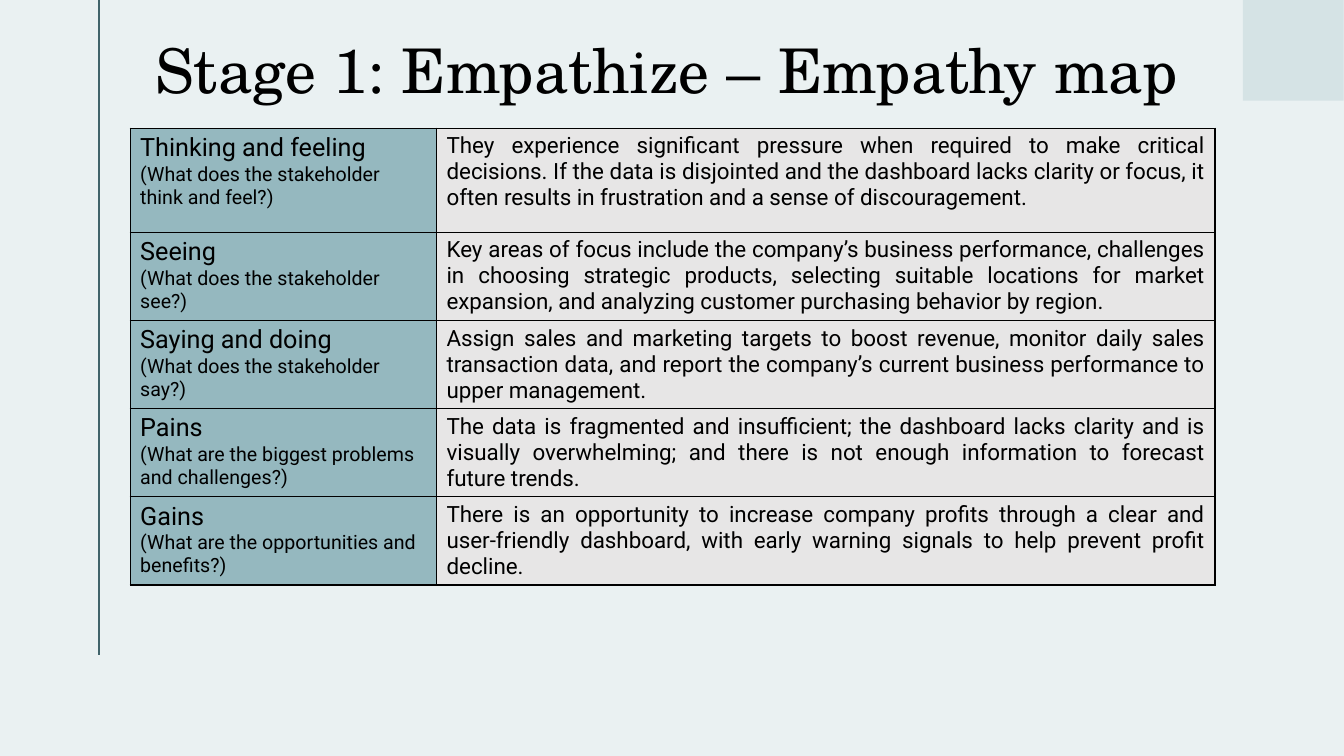
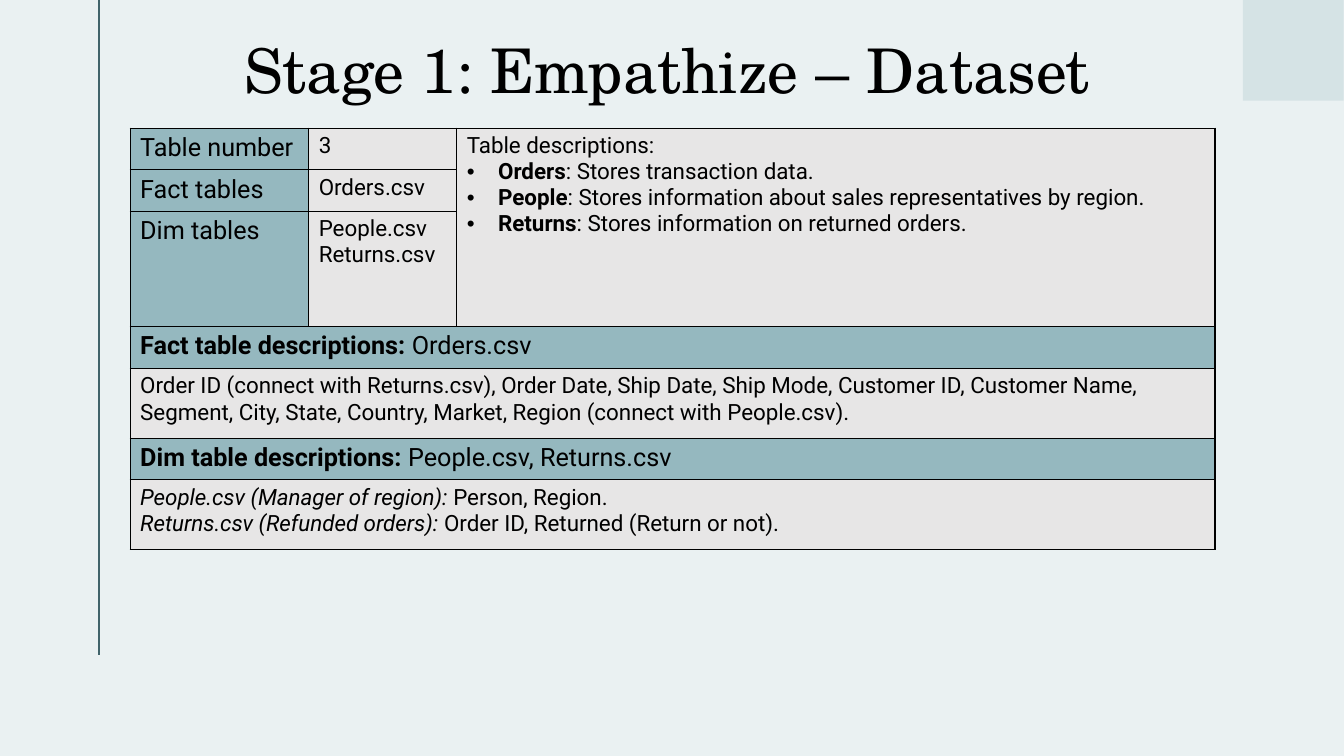
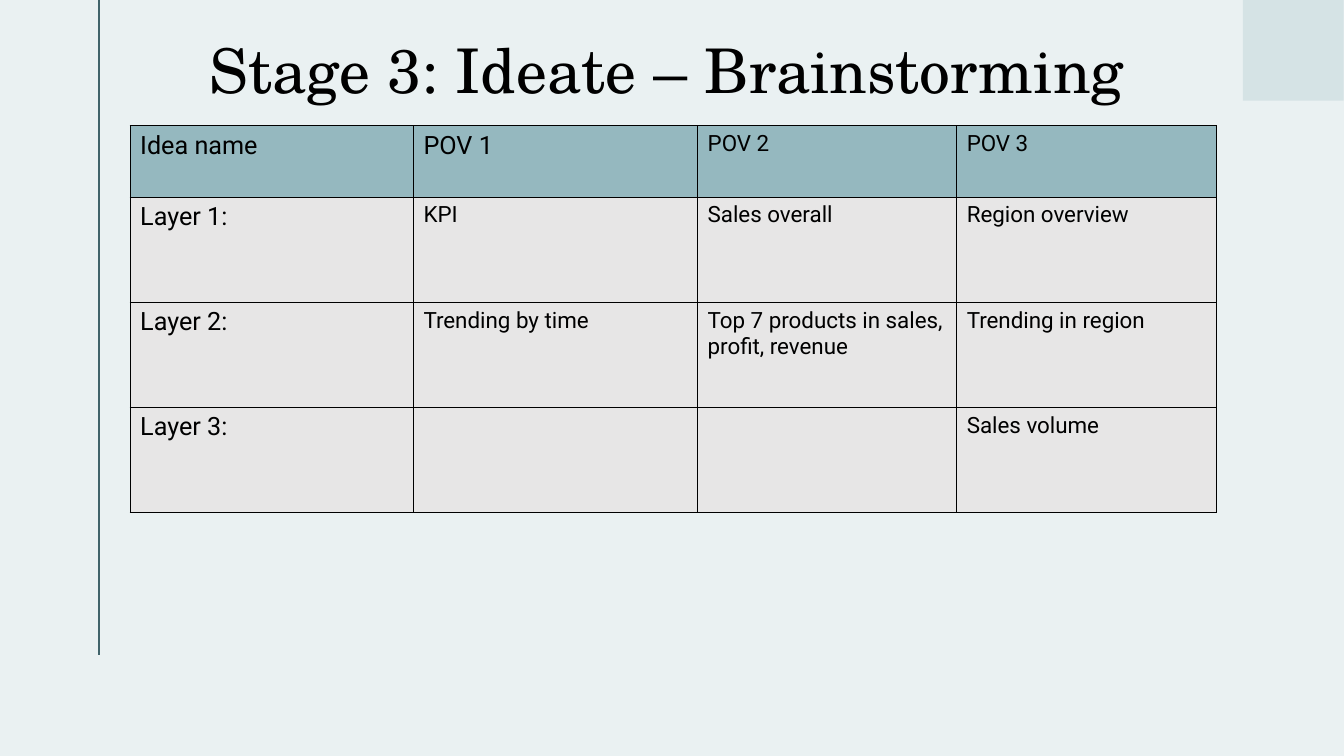
import dataclasses

import lxml.etree
import pptx
import pptx.dml.color
import pptx.enum.shapes
import pptx.enum.text
import pptx.oxml.ns
import pptx.util

Cm, Pt = pptx.util.Cm, pptx.util.Pt
Align = pptx.enum.text.PP_ALIGN
qn = pptx.oxml.ns.qn

PAGE, RULE, CORNER = "EAF1F2", "40636A", "D5E3E5"
HEADING, PLAIN, INK = "95B8BF", "E7E6E6", "000000"
TITLE_FONT, TABLE_FONT = "TeX Gyre Schola", "Roboto"
TITLE_ONLY = 5
TABLE_LEFT = 3.28
BULLET_INDENT = 0.79


@dataclasses.dataclass
class Paragraph:
    """A line of cell text, with an optional emphasised start."""
    text: str
    size: int = 16
    bold_start: str = ""
    italic_start: str = ""
    justified: bool = False
    bulleted: bool = False


@dataclasses.dataclass
class Cell:
    paragraphs: list
    fill: str = PLAIN
    rows: int = 1
    columns: int = 1


def color(hex_code):
    return pptx.dml.color.RGBColor.from_string(hex_code)


def add_child(parent, tag, **attributes):
    return lxml.etree.SubElement(parent, qn(tag), attributes)


def style_layout_title(title):
    title.left, title.top = Cm(3.91), Cm(0.48)
    title.width, title.height = Cm(26.06), Cm(2.74)
    frame = title.text_frame
    frame.auto_size = pptx.enum.text.MSO_AUTO_SIZE.NONE
    frame.vertical_anchor = pptx.enum.text.MSO_ANCHOR.MIDDLE
    frame.margin_left = 0
    frame.margin_right = Cm(0.25)
    frame.margin_top = frame.margin_bottom = Cm(0.13)
    list_style = title.element.find(".//" + qn("a:lstStyle"))
    level = add_child(list_style, "a:lvl1pPr", algn="ctr")
    add_child(add_child(level, "a:lnSpc"), "a:spcPct", val="90000")
    run_style = add_child(level, "a:defRPr", sz="4400")
    add_child(add_child(run_style, "a:solidFill"), "a:srgbClr", val=INK)
    add_child(run_style, "a:latin", typeface=TITLE_FONT)


def move_to_layout(shape, layout):
    layout.shapes.element.append(shape.element)


def decorate_layout(layout, slide):
    """Give the layout its background, title style, rule and corner.

    Layouts cannot create shapes, so these start on the given slide.
    """
    layout.background.fill.solid()
    layout.background.fill.fore_color.rgb = color(PAGE)
    style_layout_title(layout.placeholders[0])

    rule = slide.shapes.add_connector(
        pptx.enum.shapes.MSO_CONNECTOR.STRAIGHT,
        Cm(2.49), Cm(0), Cm(2.49), Cm(16.51))
    rule.line.color.rgb = color(RULE)
    rule.line.width = Pt(1.5)
    add_child(rule.element.spPr, "a:effectLst")
    move_to_layout(rule, layout)

    corner = slide.shapes.add_shape(
        pptx.enum.shapes.MSO_SHAPE.RECTANGLE,
        Cm(31.32), Cm(0), Cm(2.54), Cm(2.54))
    corner.shadow.inherit = False
    corner.fill.solid()
    corner.fill.fore_color.rgb = color(CORNER)
    corner.line.fill.background()
    move_to_layout(corner, layout)


def draw_borders(cell):
    properties = cell._tc.get_or_add_tcPr()
    for position, side in enumerate(("lnL", "lnR", "lnT", "lnB")):
        border = lxml.etree.Element(qn("a:" + side), w=str(Pt(1)))
        add_child(add_child(border, "a:solidFill"), "a:srgbClr", val=INK)
        properties.insert(position, border)


def add_bullet(paragraph):
    properties = paragraph._p.get_or_add_pPr()
    properties.set("marL", str(Cm(BULLET_INDENT)))
    properties.set("indent", str(-Cm(BULLET_INDENT)))
    add_child(properties, "a:buFont", typeface="Arial")
    add_child(properties, "a:buChar", char="•")


def write_paragraph(paragraph, content):
    start = content.bold_start or content.italic_start
    paragraph.text = start or content.text
    if start:
        paragraph.runs[0].font.bold = bool(content.bold_start)
        paragraph.runs[0].font.italic = bool(content.italic_start)
        paragraph.add_run().text = content.text
    paragraph.alignment = Align.JUSTIFY if content.justified else Align.LEFT
    for run in paragraph.runs:
        run.font.size = Pt(content.size)
        run.font.name = TABLE_FONT
        run.font.color.rgb = color(INK)
    if content.bulleted:
        add_bullet(paragraph)


def write_cell(cell, content):
    cell.fill.solid()
    cell.fill.fore_color.rgb = color(content.fill)
    frame = cell.text_frame
    for index, line in enumerate(content.paragraphs):
        paragraph = frame.add_paragraph() if index else frame.paragraphs[0]
        write_paragraph(paragraph, line)


def add_grid(slide, top, widths, heights, rows):
    """Add a bordered table; None marks a place covered by a merged cell."""
    grid = slide.shapes.add_table(
        len(heights), len(widths), Cm(TABLE_LEFT), Cm(top),
        Cm(sum(widths)), Cm(sum(heights))).table
    grid.first_row = grid.horz_banding = False
    for column, width in zip(grid.columns, widths):
        column.width = Cm(width)
    for row, height in zip(grid.rows, heights):
        row.height = Cm(height)
    for r, contents in enumerate(rows):
        for c, content in enumerate(contents):
            cell = grid.cell(r, c)
            if content:
                write_cell(cell, content)
                if content.rows > 1 or content.columns > 1:
                    cell.merge(grid.cell(r + content.rows - 1,
                                         c + content.columns - 1))
            draw_borders(cell)


def heading(text, **options):
    return Cell([Paragraph(text, 18, **options)], HEADING)


def plain(*lines, justified=False):
    return Cell([Paragraph(line, justified=justified) for line in lines])


def full_width(cell):
    cell.columns = 3
    return [cell, None, None]


def build_empathy_map(slide):
    slide.shapes.title.text_frame.text = "Stage 1: Empathize – Empathy map"
    aspects = [
        ("Thinking and feeling",
         "(What does the stakeholder think and feel?)",
         "They experience significant pressure when required to make critical "
         "decisions. If the data is disjointed and the dashboard lacks "
         "clarity or focus, it often results in frustration and a sense of "
         "discouragement."),
        ("Seeing", "(What does the stakeholder see?)",
         "Key areas of focus include the company’s business performance, "
         "challenges in choosing strategic products, selecting suitable "
         "locations for market expansion, and analyzing customer purchasing "
         "behavior by region."),
        ("Saying and doing", "(What does the stakeholder say?)",
         "Assign sales and marketing targets to boost revenue, monitor daily "
         "sales transaction data, and report the company’s current business "
         "performance to upper management."),
        ("Pains", "(What are the biggest problems and challenges?)",
         "The data is fragmented and insufficient; the dashboard lacks "
         "clarity and is visually overwhelming; and there is not enough "
         "information to forecast future trends."),
        ("Gains", "(What are the opportunities and benefits?)",
         "There is an opportunity to increase company profits through a "
         "clear and user-friendly dashboard, with early warning signals to "
         "help prevent profit decline."),
    ]
    rows = [[Cell([Paragraph(aspect, 18), Paragraph(question, 14)], HEADING),
             plain(answer, justified=True)]
            for aspect, question, answer in aspects]
    add_grid(slide, 3.23, [7.72, 19.62], [2.62] + [2.22] * 4, rows)


def build_dataset(slide):
    slide.shapes.title.text_frame.text = "Stage 1: Empathize – Dataset"
    descriptions = [
        ("Orders", ": Stores transaction data."),
        ("People",
         ": Stores information about sales representatives by region."),
        ("Returns", ": Stores information on returned orders."),
    ]
    overview = Cell(
        [Paragraph("Table descriptions:", justified=True)]
        + [Paragraph(text, bold_start=name, justified=True, bulleted=True)
           for name, text in descriptions], rows=3)
    dim_columns = Cell([
        Paragraph("Person, Region.",
                  italic_start="People.csv (Manager of region): "),
        Paragraph("Order ID, Returned (Return or not).",
                  italic_start="Returns.csv (Refunded orders): "),
    ])
    rows = [
        [heading("Table number"), plain("3", justified=True), overview],
        [heading("Fact tables"), plain("Orders.csv", justified=True), None],
        [heading("Dim tables"),
         plain("People.csv", "Returns.csv", justified=True), None],
        full_width(heading("Orders.csv",
                           bold_start="Fact table descriptions: ")),
        full_width(plain(
            "Order ID (connect with Returns.csv), Order Date, Ship Date, "
            "Ship Mode, Customer ID, Customer Name, Segment, City, State, "
            "Country, Market, Region (connect with People.csv).")),
        full_width(heading("People.csv, Returns.csv",
                           bold_start="Dim table descriptions: ")),
        full_width(dim_columns),
    ]
    add_grid(slide, 3.23, [4.5, 3.73, 19.11],
             [1.05, 1.04, 2.9, 1.06, 1.77, 1.03, 1.77], rows)


def build_brainstorming(slide):
    slide.shapes.title.text_frame.text = "Stage 3: Ideate – Brainstorming"
    layers = [
        ("Layer 1:", "KPI", "Sales overall", "Region overview"),
        ("Layer 2:", "Trending by time",
         "Top 7 products in sales, profit, revenue", "Trending in region"),
        ("Layer 3:", "", "", "Sales volume"),
    ]
    header = [Cell([Paragraph(text, size)], HEADING) for text, size in
              (("Idea name", 18), ("POV 1", 18), ("POV 2", 16), ("POV 3", 16))]
    rows = [header] + [
        [Cell([Paragraph(layer, 18)])] + [plain(idea) for idea in ideas]
        for layer, *ideas in layers]
    add_grid(slide, 3.17, [7.14, 7.16, 6.53, 6.55], [1.8] + [2.65] * 3, rows)


def main():
    deck = pptx.Presentation()
    deck.slide_width, deck.slide_height = Cm(33.87), Cm(19.05)
    layout = deck.slide_layouts[TITLE_ONLY]
    builders = (build_empathy_map, build_dataset, build_brainstorming)
    slides = [deck.slides.add_slide(layout) for _ in builders]
    decorate_layout(layout, slides[0])
    for build, slide in zip(builders, slides):
        build(slide)
    deck.save("out.pptx")


if __name__ == "__main__":
    main()
